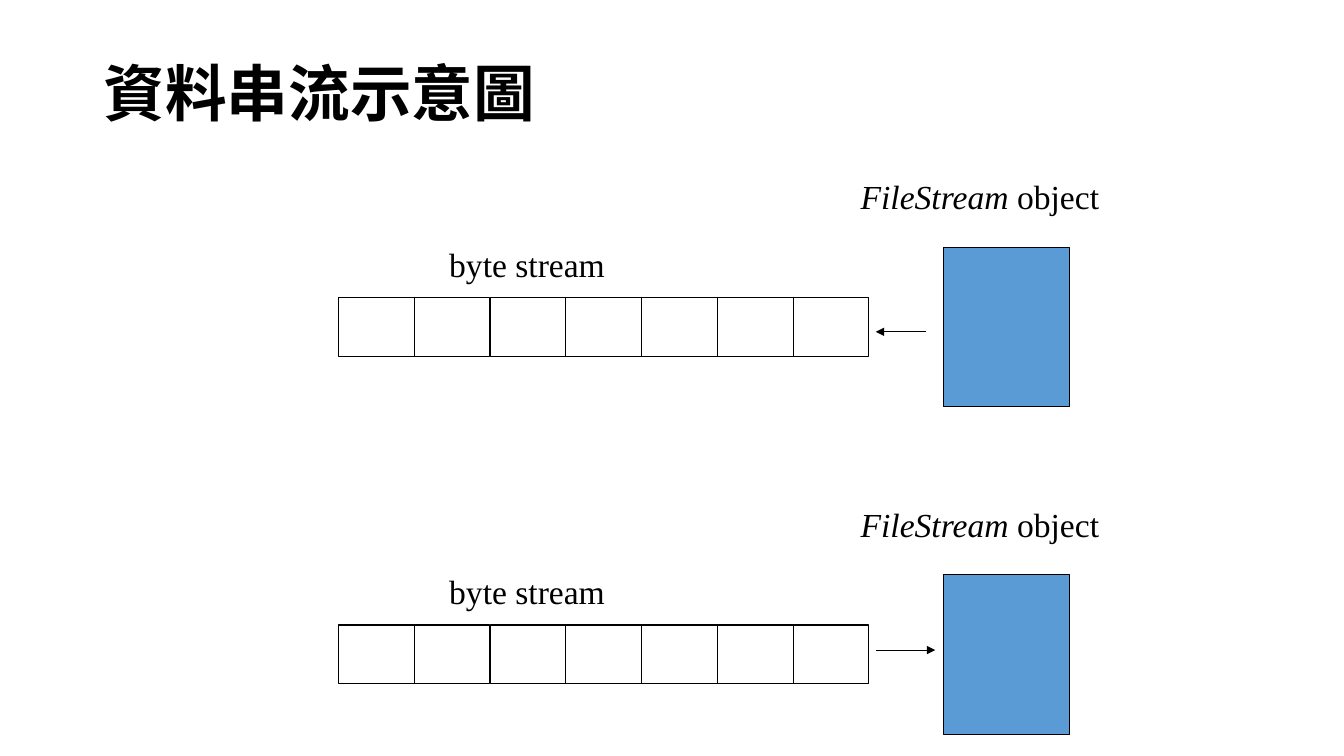
import pptx
import pptx.dml.color
import pptx.enum.shapes
import pptx.enum.text
import pptx.oxml
import pptx.oxml.ns
import pptx.util
from pptx.util import Cm

COLOURS = {"ink": "000000", "object": "5B9BD5"}
TITLE_FONT = "Noto Sans CJK TC"
LABEL_FONT = "Times New Roman"
CELL_COUNT = 7
CELL_WIDTH, CELL_HEIGHT = 1.91, 1.48
STREAM_LEFT = 8.53


def colour(name):
    return pptx.dml.color.RGBColor.from_string(COLOURS[name])


def apply_format(target, values):
    for name, value in values.items():
        setattr(target, name, value)


def format_font(font, family, size, **values):
    apply_format(font, {"name": family, "size": pptx.util.Pt(size), **values})
    font.color.rgb = colour("ink")


def format_line(line):
    line.color.rgb = colour("ink")
    line.width = pptx.util.Pt(0.75)


def add_title(slide, text):
    title = slide.shapes.title
    apply_format(title, {"left": Cm(2.36), "top": Cm(0.84),
                         "width": Cm(21.59), "height": Cm(3.18)})
    apply_format(title.text_frame, {
        "vertical_anchor": pptx.enum.text.MSO_ANCHOR.MIDDLE,
        "auto_size": pptx.enum.text.MSO_AUTO_SIZE.NONE,
        "word_wrap": True})
    paragraph = title.text_frame.paragraphs[0]
    apply_format(paragraph, {"alignment": pptx.enum.text.PP_ALIGN.LEFT,
                             "line_spacing": 0.9})
    run = paragraph.add_run()
    run.text = text
    format_font(run.font, TITLE_FONT, 44, bold=True)
    east_asian = pptx.oxml.parse_xml(
        f'<a:ea {pptx.oxml.ns.nsdecls("a")} typeface="{TITLE_FONT}"/>')
    run.font._element.append(east_asian)


def add_label(group, left, top, width, parts):
    """Add a one-line label from (text, italic) parts."""
    label = group.shapes.add_textbox(Cm(left), Cm(top), Cm(width), Cm(1.27))
    apply_format(label.text_frame, {
        "word_wrap": True,
        "auto_size": pptx.enum.text.MSO_AUTO_SIZE.SHAPE_TO_FIT_TEXT})
    for text, italic in parts:
        run = label.text_frame.paragraphs[0].add_run()
        run.text = text
        format_font(run.font, LABEL_FONT, 24, italic=italic)


def add_rectangle(group, left, top, width, height, fill=None):
    rectangle = group.shapes.add_shape(
        pptx.enum.shapes.MSO_SHAPE.RECTANGLE,
        Cm(left), Cm(top), Cm(width), Cm(height))
    rectangle.shadow.inherit = False
    format_line(rectangle.line)
    if fill:
        rectangle.fill.solid()
        rectangle.fill.fore_color.rgb = colour(fill)
    else:
        rectangle.fill.background()


def add_arrow(group, start, end, top):
    arrow = group.shapes.add_connector(
        pptx.enum.shapes.MSO_CONNECTOR.STRAIGHT,
        Cm(start), Cm(top), Cm(end), Cm(top))
    format_line(arrow.line)
    namespace = pptx.oxml.ns.nsdecls("a")
    arrow.line._get_or_add_ln().append(
        pptx.oxml.parse_xml(f'<a:tailEnd {namespace} type="triangle"/>'))
    arrow._element.spPr.append(pptx.oxml.parse_xml(f"<a:effectLst {namespace}/>"))


def add_stream(slide, top, arrow_start, arrow_end, arrow_offset):
    """Add a byte stream, its FileStream object and the arrow between them."""
    group = slide.shapes.add_group_shape()
    add_label(group, 21.44, top, 7.62, [("FileStream", True), (" object", False)])
    add_label(group, 11.07, top + 1.7, 8.26, [("byte stream", False)])
    for index in range(CELL_COUNT):
        add_rectangle(group, STREAM_LEFT + index * CELL_WIDTH, top + 3.18,
                      CELL_WIDTH, CELL_HEIGHT)
    add_rectangle(group, 23.77, top + 1.91, 3.18, 4.02, "object")
    add_arrow(group, arrow_start, arrow_end, top + arrow_offset)


def main():
    presentation = pptx.Presentation()
    apply_format(presentation, {"slide_width": Cm(33.87), "slide_height": Cm(19.05)})
    slide = presentation.slides.add_slide(presentation.slide_layouts[5])
    add_title(slide, "資料串流示意圖")
    add_stream(slide, 4.32, 23.34, 22.07, 4.04)
    add_stream(slide, 12.57, 22.07, 23.57, 3.81)
    presentation.save("out.pptx")


if __name__ == "__main__":
    main()
